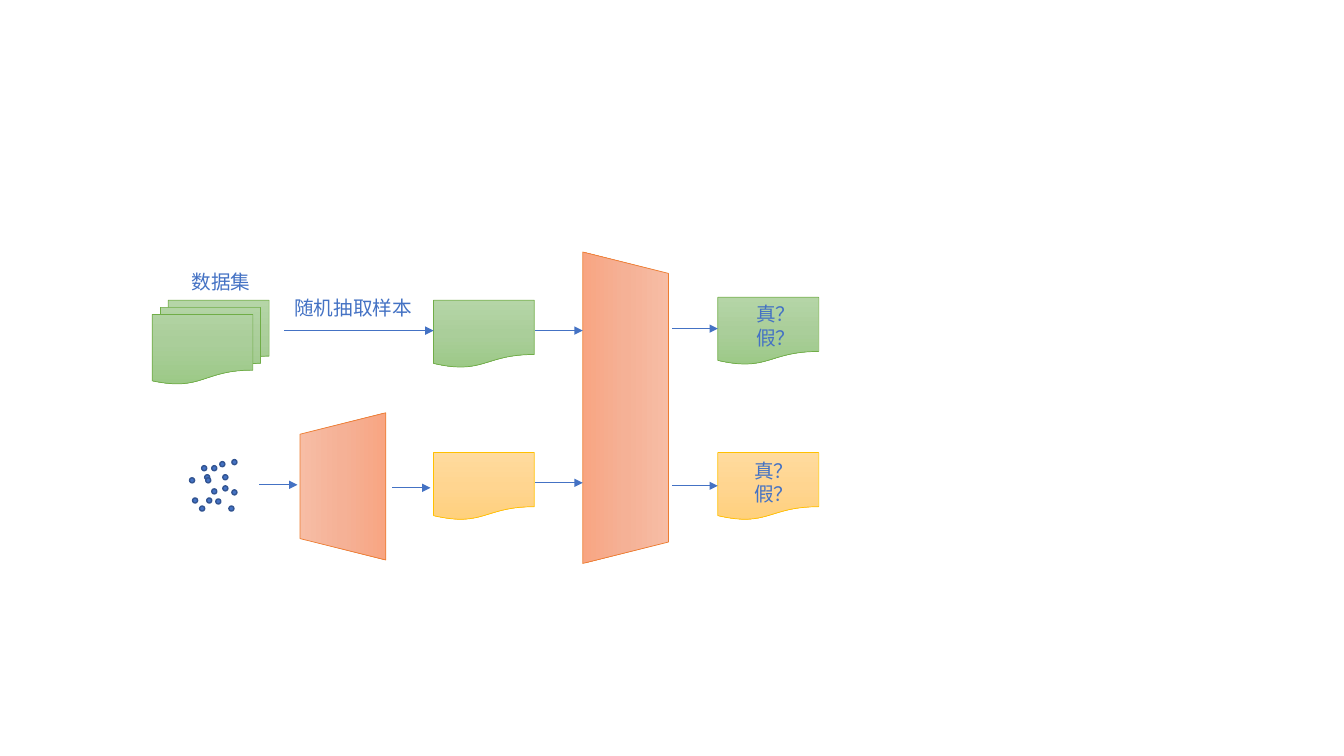
from copy import deepcopy
from typing import NamedTuple

from lxml.etree import SubElement
from pptx import Presentation
from pptx.dml.color import RGBColor
from pptx.enum.shapes import MSO_CONNECTOR, MSO_SHAPE
from pptx.enum.text import MSO_AUTO_SIZE
from pptx.oxml.ns import qn
from pptx.util import Inches, Pt

FONT = "Noto Sans CJK SC"
COLORS = {"white": "FFFFFF", "blue": "4472C4", "navy": "325491",
          "orange": "ED7D31", "green": "70AD47", "gold": "FFC000"}
GRADIENTS = {"orange": ("F7BDA5", "F5B196", "F8A582"),
             "green": ("B5D5A7", "AACE9A", "9CC987"),
             "gold": ("FFDB9E", "FFD590", "FFD07C")}


class Block(NamedTuple):
    kind: MSO_SHAPE
    left: float
    top: float
    width: float
    height: float
    color: str
    rotation: int = 0


class Arrow(NamedTuple):
    start: float
    end: float
    y: float


class Label(NamedTuple):
    left: float
    top: float
    width: float
    height: float
    text: str


DOCUMENT = MSO_SHAPE.FLOWCHART_DOCUMENT
BLOCKS = [
    Block(MSO_SHAPE.TRAPEZOID, 2.67, 4.4, 1.46, 0.85, "orange", 270),
    Block(MSO_SHAPE.TRAPEZOID, 4.66, 3.62, 3.09, 0.85, "orange", 90),
    Block(MSO_SHAPE.FLOWCHART_MULTIDOCUMENT, 1.51, 2.98, 1.16, 0.83, "green"),
    Block(DOCUMENT, 4.3, 2.98, 1, 0.67, "green"),
    Block(DOCUMENT, 4.3, 4.49, 1, 0.67, "gold"),
    Block(DOCUMENT, 7.12, 2.95, 1, 0.67, "green"),
    Block(DOCUMENT, 7.12, 4.49, 1, 0.67, "gold"),
]
DOT_SIZE = 0.05
NOISE_DOTS = [
    (1.88, 4.74), (2, 4.62), (1.91, 4.94), (1.98, 5.02),
    (2.03, 4.71), (2.21, 4.71), (2.04, 4.74), (2.21, 4.82),
    (2.1, 4.62), (2.1, 4.85), (2.14, 4.95), (2.05, 4.94),
    (2.3, 4.56), (2.18, 4.58), (2.3, 4.86), (2.27, 5.02),
]
ARROWS = [
    Arrow(2.82, 4.3, 3.28), Arrow(6.67, 7.12, 4.82), Arrow(6.67, 7.12, 3.26),
    Arrow(5.31, 5.78, 4.79), Arrow(5.31, 5.78, 3.28),
    Arrow(3.89, 4.27, 4.84), Arrow(2.57, 2.95, 4.81),
]
VERDICT = "真？\n假？"
LABELS = [
    Label(1.8, 2.63, 0.79, 0.34, "数据集"),
    Label(2.82, 2.89, 1.38, 0.34, "随机抽取样本"),
    Label(7.4, 2.95, 0.59, 0.57, VERDICT),
    Label(7.38, 4.5, 0.59, 0.57, VERDICT),
]


def rgb(name: str) -> RGBColor:
    return RGBColor.from_string(COLORS[name])


def add_solid(shapes, kind: MSO_SHAPE, box: tuple, fill: str, line: str) -> None:
    sp = shapes.add_shape(kind, *map(Inches, box))
    sp.shadow.inherit = False
    sp.fill.solid()
    sp.fill.fore_color.rgb = rgb(fill)
    sp.line.color.rgb = rgb(line)
    sp.line.width = Pt(1)


def set_gradient(sp, colors: tuple) -> None:
    """Fill from top to bottom with three evenly spaced stops."""
    sp.fill.gradient()
    sp.fill.gradient_angle = 270
    stop_list = sp._element.spPr.find(qn("a:gradFill")).find(qn("a:gsLst"))
    stop_list.insert(1, deepcopy(stop_list[0]))
    for i, (stop, color) in enumerate(zip(sp.fill.gradient_stops, colors)):
        stop.position = i / 2
        stop.color.rgb = RGBColor.from_string(color)


def add_block(s, block: Block) -> None:
    box = (block.left, block.top, block.width, block.height)
    sp = s.shapes.add_shape(block.kind, *map(Inches, box))
    sp.rotation = block.rotation
    sp.shadow.inherit = False
    set_gradient(sp, GRADIENTS[block.color])
    sp.line.color.rgb = rgb(block.color)
    sp.line.width = Pt(0.5)


def add_arrow(s, arrow: Arrow) -> None:
    y = Inches(arrow.y)
    line = s.shapes.add_connector(MSO_CONNECTOR.STRAIGHT, Inches(arrow.start), y,
                                  Inches(arrow.end), y)
    line.line.color.rgb = rgb("blue")
    line.line.width = Pt(0.5)
    SubElement(line.line._get_or_add_ln(), qn("a:tailEnd"), type="triangle")
    SubElement(line._element.spPr, qn("a:effectLst"))


def add_label(s, label: Label) -> None:
    box = (label.left, label.top, label.width, label.height)
    tf = s.shapes.add_textbox(*map(Inches, box)).text_frame
    tf.word_wrap = False
    tf.auto_size = MSO_AUTO_SIZE.SHAPE_TO_FIT_TEXT
    tf.text = label.text
    for p in tf.paragraphs:
        for r in p.runs:
            r.font.size = Pt(14)
            r.font.color.rgb = rgb("blue")
            r.font.name = FONT
            SubElement(r.font._element, qn("a:ea"), typeface=FONT)


def main() -> None:
    prs = Presentation()
    prs.slide_width, prs.slide_height = Inches(13.33), Inches(7.5)
    s = prs.slides.add_slide(prs.slide_layouts[6])
    add_solid(s.shapes, MSO_SHAPE.RECTANGLE, (1.38, 2.37, 6.87, 3.68), "white", "white")
    for block in BLOCKS:
        add_block(s, block)
    noise = s.shapes.add_group_shape()
    for left, top in NOISE_DOTS:
        add_solid(noise.shapes, MSO_SHAPE.FLOWCHART_CONNECTOR,
                  (left, top, DOT_SIZE, DOT_SIZE), "blue", "navy")
    for arrow in ARROWS:
        add_arrow(s, arrow)
    for label in LABELS:
        add_label(s, label)
    prs.save("out.pptx")


if __name__ == "__main__":
    main()
